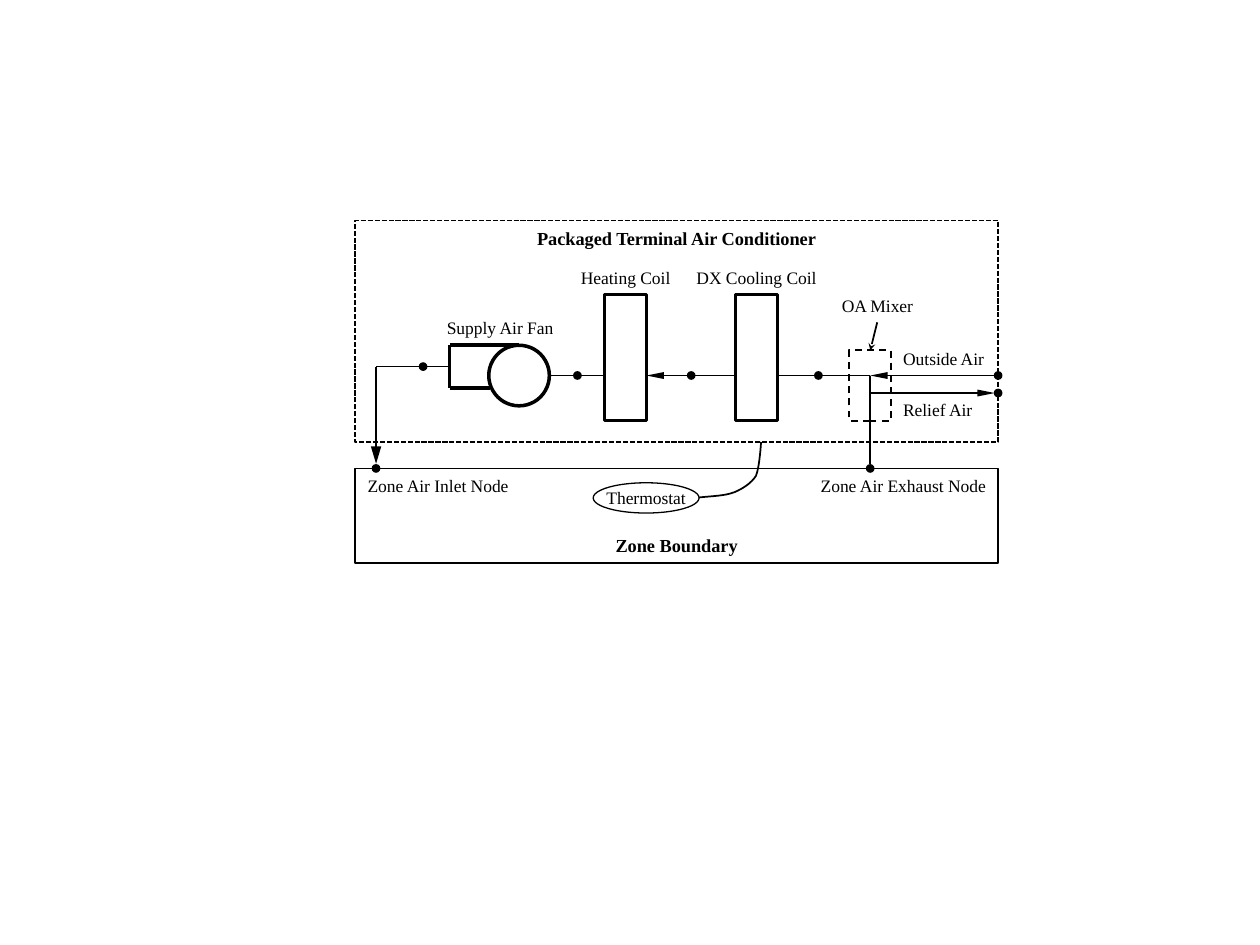
import pptx
import pptx.util
import pptx.dml.color
import pptx.enum.dml
import pptx.enum.shapes
import pptx.enum.text
import pptx.oxml.ns
from lxml import etree

Pt = pptx.util.Pt
Kind = pptx.enum.shapes.MSO_SHAPE
Dash = pptx.enum.dml.MSO_LINE
Align = pptx.enum.text.PP_ALIGN
qn = pptx.oxml.ns.qn
BLACK = pptx.dml.color.RGBColor(0, 0, 0)
FONT = "Times New Roman"


def write(frame, text, align, size=10, bold=False):
    """Set one styled line of text in a frame."""
    par = frame.paragraphs[0]
    par.text = text
    par.alignment = align
    par.font.name = FONT
    par.font.size = Pt(size)
    par.font.bold = bold
    par.font.color.rgb = BLACK


def label(slide, x, y, wide, text, align=Align.CENTER, size=10, bold=False):
    """Place a text box."""
    box = slide.shapes.add_textbox(Pt(x), Pt(y), Pt(wide), Pt(19.5))
    box.text_frame.word_wrap = bold
    write(box.text_frame, text, align, size, bold)


def shape(slide, kind, x, y, wide, high, weight=1, dash=None):
    """Draw an unfilled outline."""
    item = slide.shapes.add_shape(kind, Pt(x), Pt(y), Pt(wide), Pt(high))
    item.shadow.inherit = False
    item.fill.background()
    item.line.color.rgb = BLACK
    item.line.width = Pt(weight)
    if dash:
        item.line.dash_style = dash
    return item


def dot(slide, x, y):
    """Draw a node centred on a point."""
    node = shape(slide, Kind.OVAL, x - 2.5, y - 2.5, 5, 5)
    node.fill.solid()
    node.fill.fore_color.rgb = BLACK
    node.line.fill.background()


def line(slide, x1, y1, x2, y2, head=None, weight=1):
    """Draw a line; head holds arrow type, width and length."""
    wire = slide.shapes.add_connector(
        pptx.enum.shapes.MSO_CONNECTOR.STRAIGHT, Pt(x1), Pt(y1), Pt(x2), Pt(y2))
    wire.line.color.rgb = BLACK
    wire.line.width = Pt(weight)
    if head:
        tip = etree.SubElement(wire.line._get_or_add_ln(), qn("a:tailEnd"))
        for key, value in zip(("type", "w", "len"), head):
            tip.set(key, value)
    etree.SubElement(wire._element.spPr, qn("a:effectLst"))
    return wire


def curve(slide, start, points):
    """Draw an open curve, three points to each cubic segment."""
    form = slide.shapes.build_freeform(Pt(start[0]), Pt(start[1]))
    form.add_line_segments([(Pt(x), Pt(y)) for x, y in points], close=False)
    item = form.convert_to_shape()
    item.shadow.inherit = False
    item.fill.background()
    item.line.color.rgb = BLACK
    item.line.width = Pt(1)
    legs = list(item._element.iter(qn("a:lnTo")))
    for first, second, third in zip(legs[::3], legs[1::3], legs[2::3]):
        first.tag = qn("a:cubicBezTo")
        for leg in (second, third):
            first.append(leg[0])
            leg.getparent().remove(leg)


def fan(slide, x, y):
    """Draw the supply fan and its label."""
    shape(slide, Kind.OVAL, x + 22.3, y, 34.6, 34.6, 2)
    line(slide, x + 23, y + 24.3, x, y + 24.3, weight=2)
    line(slide, x, y + 24.3, x, y, weight=2)
    line(slide, x + 39.6, y, x, y, weight=2)
    label(slide, x - 9.4, y - 19.4, 76.3, "Supply Air Fan")


def coil(slide, x, y, text):
    """Draw a coil and its label."""
    shape(slide, Kind.RECTANGLE, x, y, 23.8, 72, 1.5)
    label(slide, x - 33.1, y - 19.4, 90, text)


def mixer(slide, x, y):
    """Draw the outside air mixer with its pointer."""
    box = shape(slide, Kind.RECTANGLE, x, y, 24, 40.3, dash=Dash.DASH)
    label(slide, x - 12, y - 35.3, 56.2, "OA Mixer")
    wire = line(slide, x + 16, y - 16, x + 12, y, ("stealth", "sm", "sm"))
    wire.end_connect(box, 0)


def unit(slide, x, y, wide, high):
    """Draw the air conditioner and its air flow."""
    shape(slide, Kind.RECTANGLE, x, y, wide, high, dash=Dash.SQUARE_DOT)
    label(slide, x, y, wide, "Packaged Terminal Air Conditioner",
          size=10.5, bold=True)
    fan(slide, x + 54, y + 71.3)
    coil(slide, x + 142.6, y + 42.5, "Heating Coil")
    coil(slide, x + 217.4, y + 42.5, "DX Cooling Coil")
    mixer(slide, x + 282.3, y + 74.2)
    flow, back, duct = y + 88.6, y + 98.6, y + 83.5
    mix, inlet, edge = x + 294.3, x + 11.9, x + wide
    slim = ("triangle", "sm", "lg")
    line(slide, x + 142.6, flow, x + 110.9, flow)
    line(slide, x + 217.4, flow, x + 166.4, flow, slim)
    line(slide, mix, flow, x + 241.2, flow)
    line(slide, edge - 2, flow, mix, flow, slim)
    line(slide, mix, back, edge - 2, back, slim)
    line(slide, mix, flow, mix, y + 139)
    line(slide, x + 54, duct, inlet, duct)
    line(slide, inlet, duct, inlet, y + 139, ("triangle", "med", "lg"))
    for gap in (127, 192, 264.7, wide):
        dot(slide, x + gap, flow)
    dot(slide, edge, back)
    dot(slide, x + 38.8, duct)
    label(slide, x + 306, y + 69.2, 61.2, "Outside Air", Align.LEFT)
    label(slide, x + 306, y + 98.6, 54.7, "Relief Air", Align.LEFT)


def zone(slide, x, y, wide, high):
    """Draw the zone with its nodes and thermostat."""
    shape(slide, Kind.RECTANGLE, x, y, wide, high)
    dot(slide, x + 11.9, y)
    dot(slide, x + 294.3, y)
    label(slide, x, y, 96.5, "Zone Air Inlet Node", Align.LEFT)
    label(slide, x + wide - 110.2, y, 110.2, "Zone Air Exhaust Node", Align.RIGHT)
    label(slide, x, y + 33.8, wide, "Zone Boundary", size=10.5, bold=True)
    stat = shape(slide, Kind.OVAL, x + 136, y + 8.2, 60.5, 17.3, 0.75)
    stat.text_frame.word_wrap = False
    stat.text_frame.vertical_anchor = pptx.enum.text.MSO_ANCHOR.MIDDLE
    write(stat.text_frame, "Thermostat", Align.CENTER)
    bends = [(203.8, 15.8), (211, 15.8), (216.7, 13.6),
             (221.8, 11.4), (226.1, 8.6), (229, 4.3),
             (231.1, -0.7), (231.9, -15.1), (231.9, -15.1)]
    curve(slide, (x + 196.5, y + 16.6), [(x + a, y + b) for a, b in bends])


def main():
    """Build and save the slide."""
    deck = pptx.Presentation()
    deck.slide_width, deck.slide_height = Pt(720), Pt(540)
    slide = deck.slides.add_slide(deck.slide_layouts[6])
    unit(slide, 203, 126, 367.4, 126.7)
    zone(slide, 203, 267.7, 367.4, 54)
    deck.save("out.pptx")


if __name__ == "__main__":
    main()
